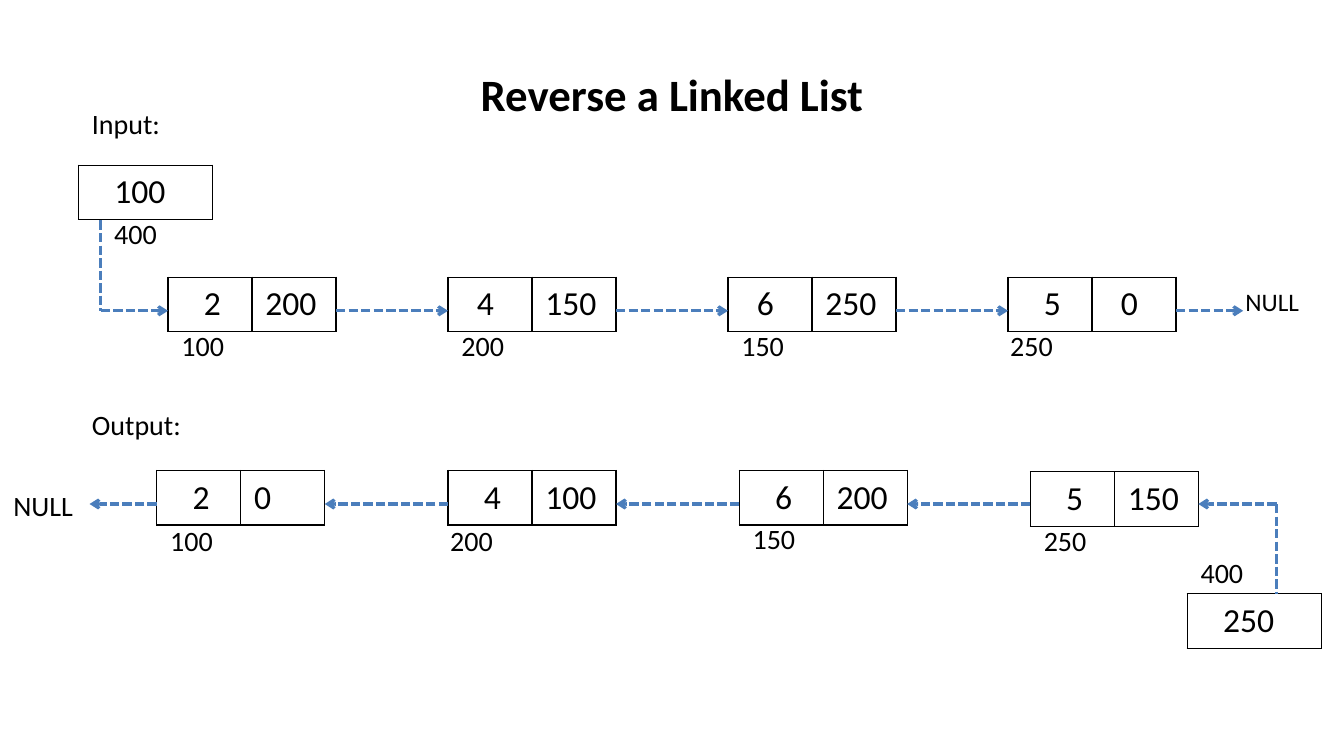
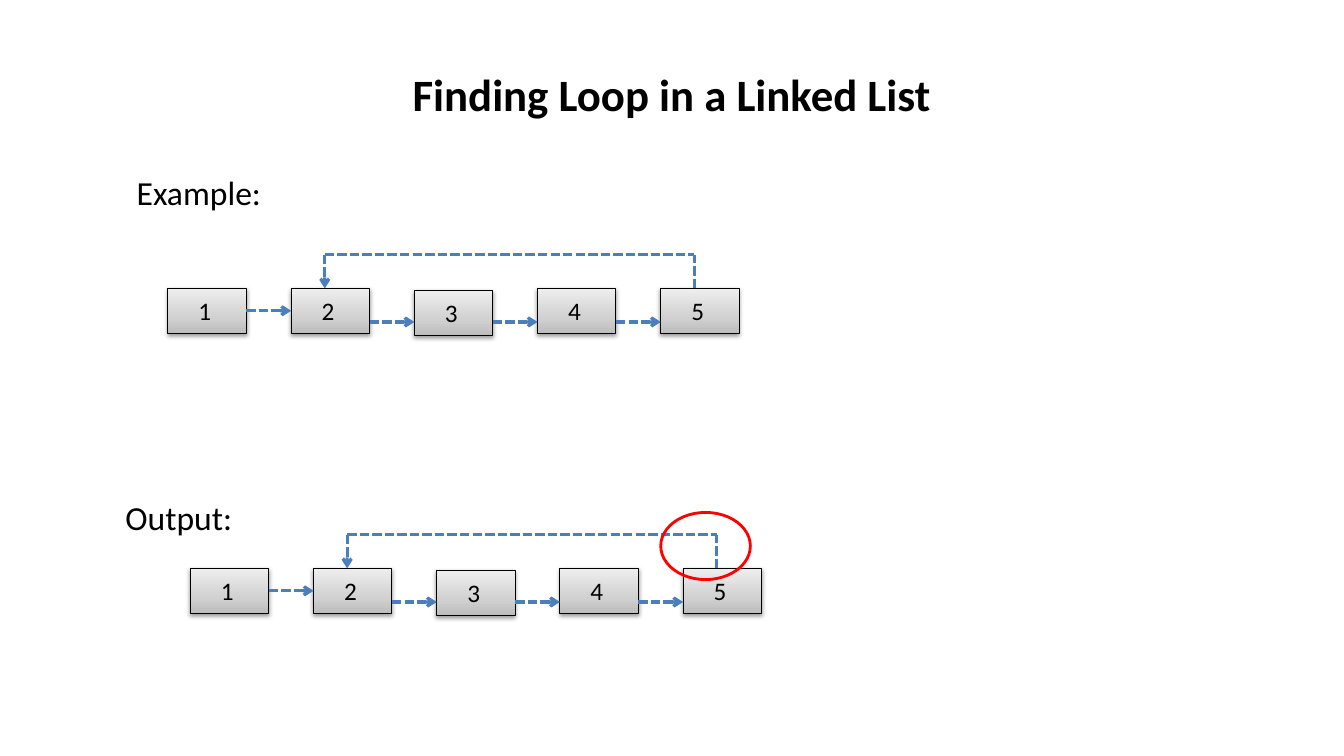
from copy import deepcopy
from pptx import Presentation
from pptx.dml.color import RGBColor
from pptx.enum.dml import MSO_LINE
from pptx.enum.shapes import MSO_CONNECTOR, MSO_SHAPE
from pptx.enum.text import MSO_ANCHOR, MSO_AUTO_SIZE, PP_ALIGN
from pptx.oxml import parse_xml
from pptx.oxml.ns import nsdecls, qn
from pptx.util import Pt

# Shared look
FONT = "Calibri"
BLACK, BLUE, RED = "000000", "4B7EBC", "FF0000"
NODE_GRADIENT = [(0, "BDBDBD"), (0.35, "D1D1D1"), (1, "EEEEEE")]
INSET_X, INSET_Y = 9.6, 4.8
CELL_WIDTH, CELL_HEIGHT = 60, 39
NODE_WIDTH, HEAD_WIDTH = 2 * CELL_WIDTH, 96
BOX_WIDTH, BOX_HEIGHT, BOX_STEP = 56, 32, 88

# Content of slide 1: node = (left, top, value, value indent, next, next indent)
REVERSE_TITLE = "Reverse a Linked List"
INPUT_NODES = [
    (120, 198, "2", 16, "200", 0),
    (320, 198, "4", 11, "150", 0),
    (520, 198, "6", 11, "250", 0),
    (720, 198, "5", 16, "0", 11),
]
OUTPUT_NODES = [
    (112, 336, "2", 16, "0", 0),
    (320, 336, "4", 16, "100", 0),
    (528, 336, "6", 16, "200", 0),
    (736, 337, "5", 16, "150", 0),
]
HEADS = [(56, 118, "100"), (848, 424, "250")]
# label = (text, left, top, width, size)
REVERSE_LABELS = [
    ("Input:", 56, 71, 112, 20),
    ("Output:", 56, 286, 112, 20),
    ("400", 72, 150, 80, 20),
    ("400", 848, 392, 80, 20),
    ("NULL", 880, 199.5, 80, 18),
    ("NULL", 0, 344, 80, 20),
    ("100", 120, 230, 80, 20),
    ("200", 320, 230, 80, 20),
    ("150", 520, 230, 80, 20),
    ("250", 712, 230, 80, 20),
    ("100", 112, 369, 80, 20),
    ("200", 312, 369, 80, 20),
    ("150", 528, 368, 80, 20),
    ("250", 736, 369, 80, 20),
]

# Content of slide 2
LOOP_TITLE = "Finding Loop in a Linked List"
LOOP_LABELS = [("Example:", 88, 118, 176, 24), ("Output:", 80, 350, 176, 24)]
LOOP_VALUES = ["1", "2", "3", "4", "5"]
LOOP_ORIGINS = [(120, 206), (136, 406)]
LOOP_MARK = (472, 366, 64, 48)


def color(hex_string):
    return RGBColor.from_string(hex_string)


def points(*values):
    return [Pt(value) for value in values]


def write(frame, text, size, bold=False, align=PP_ALIGN.LEFT):
    frame.text = text
    paragraph = frame.paragraphs[0]
    paragraph.alignment = align
    font = paragraph.runs[0].font
    font.name, font.size, font.bold = FONT, Pt(size), bold
    font.color.rgb = color(BLACK)


def set_insets(target, indent=0):
    target.margin_left, target.margin_right = points(INSET_X + indent, INSET_X)
    target.margin_top = target.margin_bottom = Pt(INSET_Y)


def add_label(slide, text, left, top, width, size):
    frame = slide.shapes.add_textbox(*points(left, top, width, size * 1.2 + 10)).text_frame
    frame.word_wrap = True
    frame.auto_size = MSO_AUTO_SIZE.SHAPE_TO_FIT_TEXT
    set_insets(frame)
    write(frame, text, size)


def add_title_slide(presentation, title, labels):
    slide = presentation.slides.add_slide(presentation.slide_layouts[6])
    frame = slide.shapes.add_textbox(*points(48, 21.6, 864, 90)).text_frame
    frame.word_wrap = True
    frame.vertical_anchor = MSO_ANCHOR.MIDDLE
    write(frame, title, 32, bold=True, align=PP_ALIGN.CENTER)
    for label in labels:
        add_label(slide, *label)
    return slide


def add_cells(slide, left, top, width, contents):
    """Draw a one-row table; contents holds (text, indent) pairs."""
    table = slide.shapes.add_table(
        1, len(contents), *points(left, top, width, CELL_HEIGHT)).table
    table.first_row = table.horz_banding = False
    for column, (text, indent) in enumerate(contents):
        cell = table.cell(0, column)
        set_insets(cell, indent)
        write(cell.text_frame, text, 24)
        cell.fill.background()
        properties = cell._tc.get_or_add_tcPr()
        for position, side in enumerate("LRTB"):
            properties.insert(position, parse_xml(
                f'<a:ln{side} {nsdecls("a")} w="12700"><a:solidFill>'
                f'<a:srgbClr val="{BLACK}"/></a:solidFill></a:ln{side}>'))


def add_dashed_line(slide, start, end, arrow=True):
    line = slide.shapes.add_connector(MSO_CONNECTOR.STRAIGHT, *points(*start, *end))
    line.line.color.rgb = color(BLUE)
    line.line.width = Pt(2.25)
    line.line.dash_style = MSO_LINE.SQUARE_DOT
    properties = line._element.spPr
    if arrow:
        properties.find(qn("a:ln")).append(
            parse_xml(f'<a:tailEnd {nsdecls("a")} type="arrow"/>'))
    properties.append(parse_xml(f'<a:effectLst {nsdecls("a")}/>'))
    return line


def add_box(slide, text, left, top):
    box = slide.shapes.add_shape(
        MSO_SHAPE.RECTANGLE, *points(left, top, BOX_WIDTH, BOX_HEIGHT))
    box.line.color.rgb = color(BLACK)
    box.line.width = Pt(0.75)
    box.fill.gradient()
    box.fill.gradient_angle = 90
    stop_list = box._element.spPr.find(qn("a:gradFill")).find(qn("a:gsLst"))
    stop_list.insert(1, deepcopy(stop_list[0]))
    for stop, (position, shade) in zip(box.fill.gradient_stops, NODE_GRADIENT):
        stop.position = position
        stop.color.rgb = color(shade)
    # Soft shadow below the box
    box.shadow.inherit = False
    box._element.spPr.find(qn("a:effectLst")).append(parse_xml(
        f'<a:outerShdw {nsdecls("a")} blurRad="{Pt(3.1)}" dist="{Pt(1.6)}" dir="5400000"'
        f' rotWithShape="0"><a:srgbClr val="{BLACK}"><a:alpha val="38000"/>'
        '</a:srgbClr></a:outerShdw>'))
    frame = box.text_frame
    frame.vertical_anchor = MSO_ANCHOR.TOP
    set_insets(frame, indent=12.2)
    write(frame, text, 18)
    return box


def add_loop_list(slide, left, top):
    boxes = [add_box(slide, value, left + index * BOX_STEP, top + (1.4 if index == 2 else 0))
             for index, value in enumerate(LOOP_VALUES)]
    # Arrows to the next box: the first at mid height, the others lower
    for index in range(len(boxes) - 1):
        end = left + (index + 1) * BOX_STEP
        start = end - BOX_STEP + BOX_WIDTH
        height = top + (24 if index else BOX_HEIGHT / 2)
        arrow = add_dashed_line(slide, (start, height), (end, height))
        if index == 0:
            arrow.begin_connect(boxes[0], 3)
            arrow.end_connect(boxes[1], 1)
    # Way back from the last box to the second
    back_start, back_end, back_top = left + 376, left + 112, top - 24
    add_dashed_line(slide, (back_start, top), (back_start, back_top), arrow=False)
    add_dashed_line(slide, (back_end, back_top), (back_start, back_top), arrow=False)
    add_dashed_line(slide, (back_end, back_top), (back_end, top))


def build_reverse_slide(presentation):
    slide = add_title_slide(presentation, REVERSE_TITLE, REVERSE_LABELS)
    for left, top, value, value_indent, link, link_indent in INPUT_NODES + OUTPUT_NODES:
        add_cells(slide, left, top, NODE_WIDTH, [(value, value_indent), (link, link_indent)])
    for left, top, address in HEADS:
        add_cells(slide, left, top, HEAD_WIDTH, [(address, 16)])
    # Input links run right, output links run left
    input_lefts = [node[0] for node in INPUT_NODES]
    for left, target in zip(input_lefts, input_lefts[1:] + [888]):
        add_dashed_line(slide, (left + NODE_WIDTH, 222), (target, 222))
    output_lefts = [node[0] for node in OUTPUT_NODES]
    output_ends = [64] + [left + NODE_WIDTH for left in output_lefts]
    for left, target in zip(output_lefts + [912], output_ends):
        add_dashed_line(slide, (left, 360), (target, 360))
    # Head pointers
    add_dashed_line(slide, (72, 157.5), (72, 222), arrow=False)
    add_dashed_line(slide, (72, 222), (120, 222))
    add_dashed_line(slide, (912, 360), (912, 424), arrow=False)


def build_loop_slide(presentation):
    slide = add_title_slide(presentation, LOOP_TITLE, LOOP_LABELS)
    for origin in LOOP_ORIGINS:
        add_loop_list(slide, *origin)
    mark = slide.shapes.add_shape(MSO_SHAPE.OVAL, *points(*LOOP_MARK))
    mark.shadow.inherit = False
    mark.fill.background()
    mark.line.color.rgb = color(RED)
    mark.line.width = Pt(2)


def main():
    presentation = Presentation()
    presentation.slide_width, presentation.slide_height = points(960, 540)
    build_reverse_slide(presentation)
    build_loop_slide(presentation)
    presentation.save("out.pptx")


if __name__ == "__main__":
    main()
